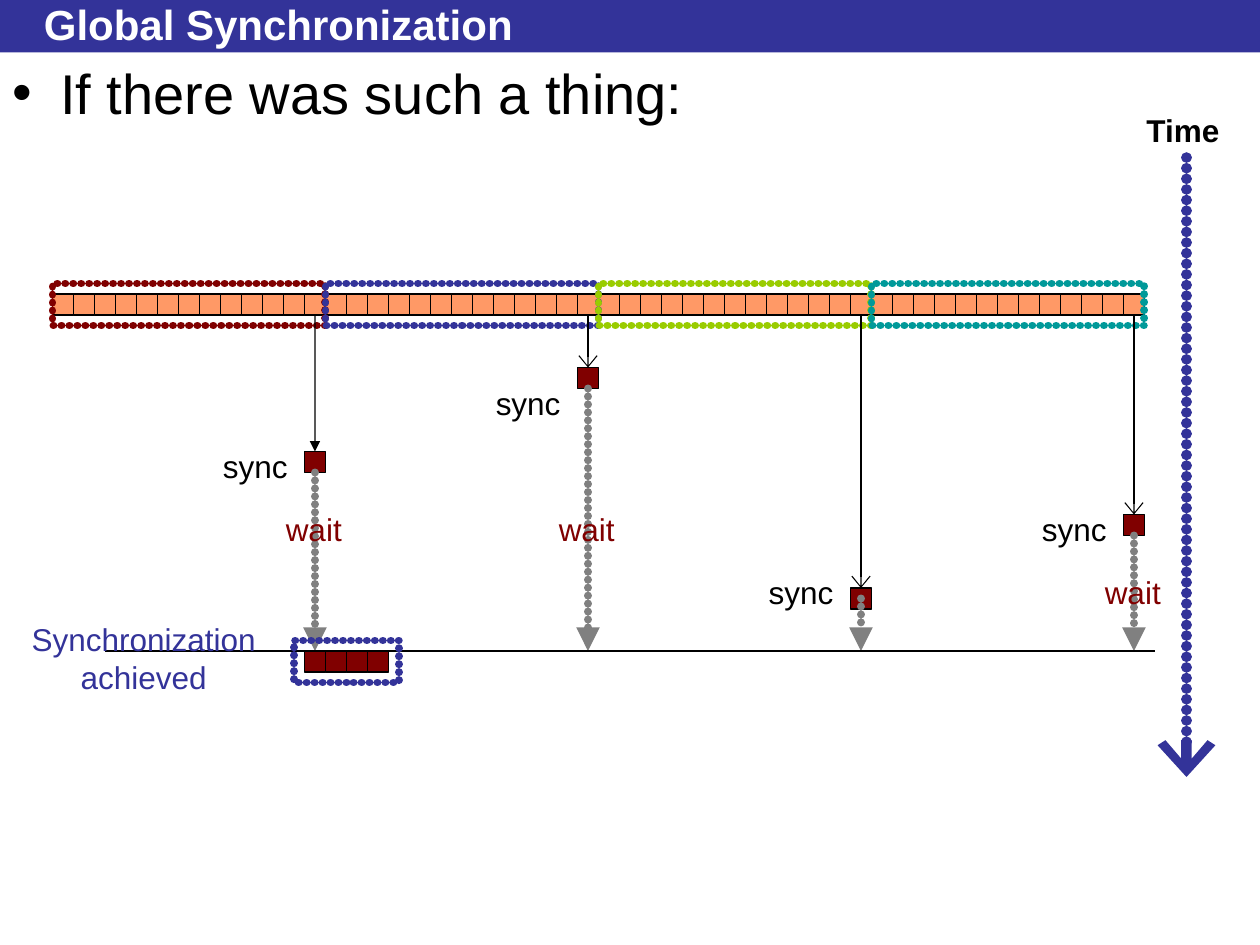
from dataclasses import dataclass

from lxml import etree
from pptx import Presentation
from pptx.dml.color import RGBColor
from pptx.enum.shapes import MSO_CONNECTOR, MSO_SHAPE
from pptx.enum.text import MSO_ANCHOR, MSO_AUTO_SIZE, PP_ALIGN
from pptx.oxml.ns import qn
from pptx.util import Inches, Pt

RECTANGLE = MSO_SHAPE.RECTANGLE
STRAIGHT = MSO_CONNECTOR.STRAIGHT
MIDDLE = MSO_ANCHOR.MIDDLE
CENTER = PP_ALIGN.CENTER
GROW = MSO_AUTO_SIZE.SHAPE_TO_FIT_TEXT
TOP_SIDE, BOTTOM_SIDE = 0, 2


@dataclass(frozen=True)
class Theme:
    """Colours, type sizes and line widths of the slide."""
    font: str = "Arial"
    navy: str = "333399"
    black: str = "000000"
    white: str = "FFFFFF"
    orange: str = "FF9966"
    maroon: str = "800000"
    gray: str = "808080"
    processors: tuple = ("800000", "333399", "99CC00", "009999")
    title_size: int = 24
    body_size: int = 32
    label_size: int = 18
    thin: float = 0.75
    dotted: float = 4.5
    time_axis: float = 6


THEME = Theme()
CELL = 1 / 6
CELLS_PER_PROCESSOR = 13
ARRAY_LEFT, ARRAY_TOP = 2.5 * CELL, 14 * CELL
SYNC_LINE = 31 * CELL
SYNC_TOPS = (21.5 * CELL, 17.5 * CELL, 28 * CELL, 24.5 * CELL)
SYNC_LABEL_TOPS = (3.5, 3, 4.5, 4)
WAIT_LABEL_TOPS = (4, 4, None, 4.5)
HEAD_WIDTHS = {"arrow": "lg", "triangle": "med"}


def apply_format(target, values):
    """Set every named format value on the target."""
    for name, value in values.items():
        setattr(target, name, value)


def style_line(line, color, width, dotted):
    """Give a line its colour, width and touching round dots."""
    line.color.rgb = RGBColor.from_string(color)
    line.width = Pt(width)
    if dotted:
        outline = line.color._xFill.getparent()
        outline.set("cap", "rnd")
        dashes = etree.SubElement(outline, qn("a:custDash"))
        etree.SubElement(dashes, qn("a:ds"), d="100000", sp="1000")


def add_box(slide, left, top, width, height, fill=None, line=None, dotted=False):
    """Add a rectangle with an optional fill and outline."""
    shape = slide.shapes.add_shape(
        RECTANGLE, Inches(left), Inches(top), Inches(width), Inches(height))
    shape.shadow.inherit = False
    if fill:
        shape.fill.solid()
        shape.fill.fore_color.rgb = RGBColor.from_string(fill)
    else:
        shape.fill.background()
    if line:
        style_line(shape.line, line, THEME.dotted if dotted else THEME.thin, dotted)
    else:
        shape.line.fill.background()
    return shape


def add_cells(slide, left, top, count, fill):
    """Add a row of touching square cells."""
    return [add_box(slide, left + index * CELL, top, CELL, CELL, fill, THEME.black)
            for index in range(count)]


def add_line(slide, start, end, color, width, head=None, dotted=False):
    """Add a straight connector with an optional arrowhead."""
    connector = slide.shapes.add_connector(STRAIGHT, *map(Inches, start + end))
    style_line(connector.line, color, width, dotted)
    properties = connector._element.spPr
    if head:
        outline = properties.find(qn("a:ln"))
        etree.SubElement(outline, qn("a:tailEnd"), type=head, w=HEAD_WIDTHS[head], len="med")
    etree.SubElement(properties, qn("a:effectLst"))
    return connector


def add_text(slide, text, place, color, size, bold=False, frame_format=None,
             align=None, bullet=None):
    """Add a text box with one paragraph."""
    shape = slide.shapes.add_textbox(*map(Inches, place))
    frame = shape.text_frame
    apply_format(frame, frame_format or {"word_wrap": False, "auto_size": GROW})
    paragraph = frame.paragraphs[0]
    paragraph.text = text
    paragraph.alignment = align
    if bullet:
        properties = paragraph._p.get_or_add_pPr()
        for name, value in {"marL": 0.38, "indent": -0.38}.items():
            properties.set(name, str(Inches(value)))
        etree.SubElement(properties, qn("a:buFont"), typeface=THEME.font)
        etree.SubElement(properties, qn("a:buChar"), char=bullet)
    font_format = {"name": THEME.font, "size": Pt(size), "bold": bold}
    for font in [paragraph.font] + [run.font for run in paragraph.runs]:
        apply_format(font, font_format)
        font.color.rgb = RGBColor.from_string(color)


def add_heading(slide):
    """Add the title bar, the title and the opening bullet."""
    add_box(slide, 0, 0, 10, 2.5 * CELL, THEME.navy)
    add_text(slide, "Global Synchronization", (0.25, 0.05, 9.25, 0.28),
             THEME.white, THEME.title_size, True,
             {"word_wrap": True, "vertical_anchor": MIDDLE})
    add_text(slide, "If there was such a thing:", (0, 2.5 * CELL, 10, 5 * CELL),
             THEME.black, THEME.body_size, False, {"word_wrap": True}, bullet="•")


def add_array(slide):
    """Add the data array with one dotted frame per processor."""
    count = CELLS_PER_PROCESSOR * len(THEME.processors)
    cells = add_cells(slide, ARRAY_LEFT, ARRAY_TOP, count, THEME.orange)
    width = CELLS_PER_PROCESSOR * CELL
    for index, color in enumerate(THEME.processors):
        add_box(slide, ARRAY_LEFT + index * width, ARRAY_TOP - CELL / 2, width, 2 * CELL,
                line=color, dotted=True)
    return cells[CELLS_PER_PROCESSOR - 1::CELLS_PER_PROCESSOR]


def add_processor(slide, index, last_cell):
    """Add one processor's run to its sync point and its wait."""
    center = ARRAY_LEFT + ((index + 1) * CELLS_PER_PROCESSOR - 0.5) * CELL
    top, wait_top = SYNC_TOPS[index], WAIT_LABEL_TOPS[index]
    run_arrow = add_line(slide, (center, ARRAY_TOP + CELL), (center, top), THEME.black,
                         THEME.thin, "arrow" if index else "triangle")
    square = add_cells(slide, center - CELL / 2, top, 1, THEME.maroon)[0]
    run_arrow.begin_connect(last_cell, BOTTOM_SIDE)
    run_arrow.end_connect(square, TOP_SIDE)
    wait_start = top + (CELL if wait_top else CELL / 2)
    wait_arrow = add_line(slide, (center, wait_start), (center, SYNC_LINE), THEME.gray,
                          THEME.dotted, "triangle", True)
    add_text(slide, "sync", (center - 0.83, SYNC_LABEL_TOPS[index], 0.73, 0.4),
             THEME.black, THEME.label_size)
    if wait_top:
        wait_arrow.begin_connect(square, BOTTOM_SIDE)
        add_text(slide, "wait", (center - 0.33, wait_top, 0.66, 0.4),
                 THEME.maroon, THEME.label_size)


def add_time_axis(slide):
    """Add the dotted time arrow and its label."""
    add_line(slide, (56.5 * CELL, 1.25), (56.5 * CELL, 37 * CELL), THEME.navy,
             THEME.time_axis, "arrow", True)
    add_text(slide, "Time", (9, 0.83, 0.78, 0.4), THEME.black, THEME.label_size, True)


def add_barrier(slide):
    """Add the line where all processors have synchronized."""
    add_line(slide, (5 * CELL, SYNC_LINE), (55 * CELL, SYNC_LINE), THEME.black, THEME.thin)
    add_cells(slide, 14.5 * CELL, SYNC_LINE, len(THEME.processors), THEME.maroon)
    add_box(slide, 14 * CELL, SYNC_LINE - CELL / 2, 5 * CELL, 2 * CELL,
            line=THEME.navy, dotted=True)
    add_text(slide, "Synchronization\vachieved", (0.15, 4.87, 1.98, 0.7), THEME.navy,
             THEME.label_size, False, {"word_wrap": True, "auto_size": GROW}, CENTER)


def main():
    """Build the slide and save it."""
    presentation = Presentation()
    apply_format(presentation, {"slide_width": Inches(10), "slide_height": Inches(7.5)})
    slide = presentation.slides.add_slide(presentation.slide_layouts[6])
    add_heading(slide)
    last_cells = add_array(slide)
    add_time_axis(slide)
    for index, last_cell in enumerate(last_cells):
        add_processor(slide, index, last_cell)
    add_barrier(slide)
    presentation.save("out.pptx")


if __name__ == "__main__":
    main()
